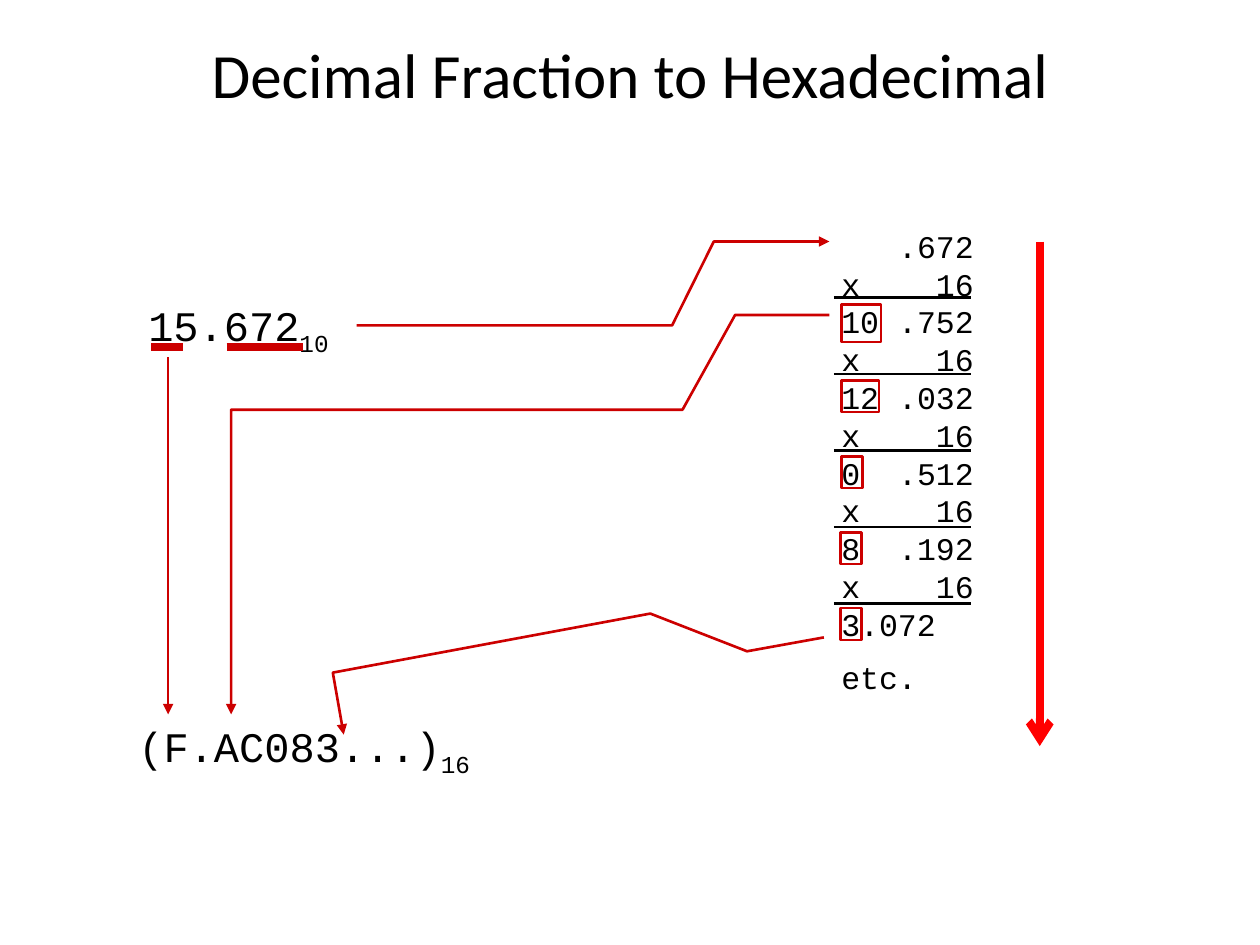
"""Build the slide on turning a decimal fraction into hexadecimal."""
from dataclasses import dataclass

from lxml import etree
from pptx import Presentation
from pptx.dml.color import RGBColor
from pptx.enum import shapes, text
from pptx.oxml.ns import qn
from pptx.util import Cm, Pt

Point = tuple[float, float]


@dataclass(frozen=True)
class Theme:
    """Colours, fonts and sizes."""
    ink: RGBColor = RGBColor(0, 0, 0)
    mark: RGBColor = RGBColor(0xCC, 0, 0)
    flow: RGBColor = RGBColor(0xFF, 0, 0)
    head: str = "Calibri"
    mono: str = "Courier New"
    title: float = 36
    number: float = 24
    sums: float = 18
    pitch: float = 21.6
    gap: float = 9
    thin: float = 1.5
    thick: float = 4.5


@dataclass(frozen=True)
class Stroke:
    """A straight line or a path, with an optional arrowhead."""
    points: tuple[Point, ...]
    color: RGBColor
    width: float
    tip: str = ""


@dataclass(frozen=True)
class Number:
    """A number with its base as a subscript."""
    digits: str
    base: str
    left: float
    top: float
    width: float


@dataclass(frozen=True)
class Frame:
    """A box round one digit of the result."""
    left: float
    width: float
    height: float = 0.64


THEME = Theme()
SUMS = ("\t.672", "x\t16", "10\t.752", "x\t16", "12\t.032", "x\t16",
        "0\t.512", "x\t16", "8\t.192", "x\t16", "3.072")
NUMBERS = (Number("15.672", "10", 2.74, 5.92, 4.34),
           Number("(F.AC083...)", "16", 2.54, 14.4, 7.41))
FRAMES = (Frame(16.96, 0.8, 0.76), Frame(16.96, 0.76), Frame(16.96, 0.43),
          Frame(16.94, 0.43), Frame(16.94, 0.43))
RULES = tuple(Stroke(((16.81, 6 + 1.54 * i), (19.58, 6 + 1.54 * i)),
                     THEME.ink, THEME.thin) for i in range(len(FRAMES)))
BARS = tuple(Stroke(((a, 6.99), (b, 6.99)), THEME.mark, THEME.thick)
             for a, b in ((4.57, 6.1), (3.05, 3.68)))
ROUTES = tuple(Stroke(points, THEME.mark, THEME.thin, "triangle") for points in (
    ((7.19, 6.56), (13.55, 6.56), (14.39, 4.87), (16.72, 4.87)),
    ((3.39, 7.2), (3.39, 14.4)),
    ((16.72, 6.35), (14.82, 6.35), (13.76, 8.26), (4.66, 8.26), (4.66, 14.4)),
    ((16.61, 12.85), (15.06, 13.13), (13.11, 12.37), (6.71, 13.56), (6.93, 14.81)),
))
FLOW = Stroke(((20.96, 4.87), (20.96, 15.04)), THEME.flow, THEME.thick, "arrow")


def style(para, font: str, size: float) -> None:
    """Set the type of a paragraph."""
    para.font.name, para.font.size = font, Pt(size)
    para.font.color.rgb = THEME.ink


def add_text(slide, left: float, top: float, width: float, height: float):
    """Add a wrapping text box and return its text frame."""
    frame = slide.shapes.add_textbox(Cm(left), Cm(top), Cm(width), Cm(height)).text_frame
    frame.word_wrap = True
    frame.auto_size = text.MSO_AUTO_SIZE.SHAPE_TO_FIT_TEXT
    return frame


def add_number(slide, item: Number) -> None:
    """Write a number and its base."""
    para = add_text(slide, item.left, item.top, item.width, 1.27).paragraphs[0]
    style(para, THEME.mono, THEME.number)
    para.add_run().text = item.digits
    base = para.add_run()
    base.text = item.base
    base._r.get_or_add_rPr().set("baseline", "-25000")


def add_sums(slide) -> None:
    """Write the repeated multiplication, right-aligned on a tab."""
    frame = add_text(slide, 16.71, 4.45, 4.11, 9.88)
    first, last = frame.paragraphs[0], frame.add_paragraph()
    first.text, last.text = "\v".join(SUMS), "etc."
    tabs = etree.SubElement(first._p.get_or_add_pPr(), qn("a:tabLst"))
    etree.SubElement(tabs, qn("a:tab"), pos=str(Cm(2.67)), algn="r")
    last.space_before = Pt(THEME.gap)
    for para in frame.paragraphs:
        para.line_spacing = Pt(THEME.pitch)
        style(para, THEME.mono, THEME.sums)


def add_stroke(slide, item: Stroke) -> None:
    """Draw a connector for two points and an open path for more."""
    points = [(Cm(x), Cm(y)) for x, y in item.points]
    straight = len(points) == 2
    if straight:
        shape = slide.shapes.add_connector(
            shapes.MSO_CONNECTOR.STRAIGHT, *points[0], *points[1])
    else:
        path = slide.shapes.build_freeform(*points[0])
        path.add_line_segments(points[1:], close=False)
        shape = path.convert_to_shape()
        shape.fill.background()
        shape.shadow.inherit = False
    shape.line.color.rgb = item.color
    shape.line.width = Pt(item.width)
    props = shape._element.spPr
    if straight:
        etree.SubElement(props, qn("a:effectLst"))
    if item.tip:
        etree.SubElement(props.find(qn("a:ln")), qn("a:tailEnd"), type=item.tip)


def add_frame(slide, item: Frame, top: float) -> None:
    """Draw a box round a digit."""
    box = slide.shapes.add_shape(shapes.MSO_SHAPE.RECTANGLE, Cm(item.left), Cm(top),
                                 Cm(item.width), Cm(item.height))
    box.fill.background()
    box.line.color.rgb = THEME.mark
    box.line.width = Pt(THEME.thin)
    box.shadow.inherit = False


def add_title(slide) -> None:
    """Place and fill the title."""
    title = slide.shapes.title
    title.left, title.top, title.width, title.height = Cm(1.9), Cm(0.43), Cm(21.6), Cm(2.11)
    title.text_frame.text = "Decimal Fraction to Hexadecimal"
    title.text_frame.vertical_anchor = text.MSO_ANCHOR.MIDDLE
    para = title.text_frame.paragraphs[0]
    para.alignment = text.PP_ALIGN.CENTER
    style(para, THEME.head, THEME.title)


def main() -> None:
    """Build and save the deck."""
    deck = Presentation()
    deck.slide_width, deck.slide_height = Cm(25.4), Cm(19.05)
    slide = deck.slides.add_slide(deck.slide_layouts.get_by_name("Title Only"))
    add_title(slide)
    for number in NUMBERS:
        add_number(slide, number)
    add_sums(slide)
    for stroke in (*RULES, *BARS, *ROUTES, FLOW):
        add_stroke(slide, stroke)
    for i, frame in enumerate(FRAMES):
        add_frame(slide, frame, 6.14 + 1.53 * i)
    deck.save("out.pptx")


if __name__ == "__main__":
    main()
